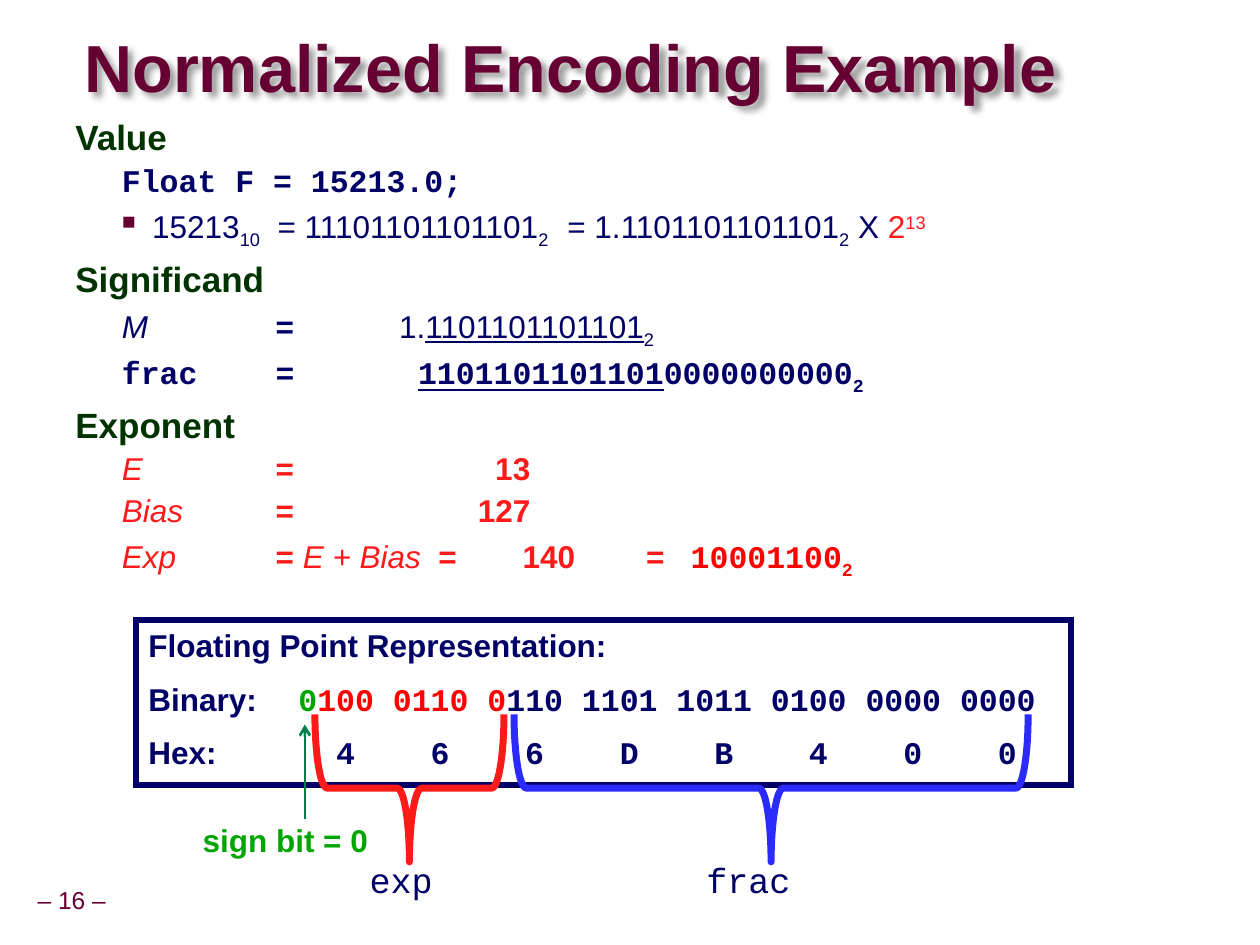
import pptx
import pptx.dml.color
import pptx.enum.shapes
import pptx.enum.text
import pptx.oxml
import pptx.oxml.ns
import pptx.util

Inches = pptx.util.Inches
Shape = pptx.enum.shapes.MSO_SHAPE
Fit = pptx.enum.text.MSO_AUTO_SIZE
Align = pptx.enum.text.PP_ALIGN
Anchor = pptx.enum.text.MSO_ANCHOR

PLUM, GREEN, NAVY, RED = "660033", "003300", "000066", "FF1A1A"
PURE, LIME, TEAL, BLUE = "FF0000", "00A600", "007F4D", "2B2BFF"
HEAD = dict(name="Arial", size=20, color=GREEN, bold=True)
BOLD = dict(name="Arial", size=18, color=NAVY, bold=True)
TEXT = {**BOLD, "bold": False}
MATH = {**TEXT, "italic": True}
CODE = {**BOLD, "name": "Courier New"}
LABEL = dict(name="Courier New", size=20, color=NAVY)
WARM, HOT = {**BOLD, "color": RED}, {**MATH, "color": RED}
BITS = {**CODE, "color": PURE}
LINED = {"underline": True}
SUB, SUP = {"base": -25000}, {"base": 30000}


def rgb(text):
    """Return the colour for a hex string."""
    return pptx.dml.color.RGBColor.from_string(text)


def node(tag, body="", **attrs):
    """Return a drawing element with the given attributes and inner XML."""
    vals = "".join(f' {key}="{val}"' for key, val in attrs.items())
    space = pptx.oxml.ns.nsdecls("a")
    return pptx.oxml.parse_xml(f"<a:{tag} {space}{vals}>{body}</a:{tag}>")


def write(para, runs):
    """Add the runs, each a text and its format values."""
    for text, form in runs:
        run = para.add_run()
        run.text = text
        for key, val in form.items():
            if key == "color":
                run.font.color.rgb = rgb(val)
            elif key == "base":
                run._r.get_or_add_rPr().set("baseline", str(val))
            else:
                setattr(run.font, key, pptx.util.Pt(val) if key == "size" else val)


def shape_para(para, gap, step, line=1.0, left=0, hang=0, mark=False):
    """Set spacing, indent, bullet and tab step of a paragraph."""
    props = para._p.get_or_add_pPr()
    for key, val in dict(marL=left, indent=hang, defTabSz=step).items():
        props.set(key, str(Inches(val)))
    para.line_spacing = line
    props.append(node("spcBef", f'<a:spcPct val="{gap * 1000}"/>'))
    if mark:
        props.append(node("buClr", f'<a:srgbClr val="{PLUM}"/>'))
        props.append(node("buSzPct", val=60000))
        props.append(node("buChar", char="■"))
    else:
        props.append(node("buNone"))


def add_label(slide, box, text, form, pad=None):
    """Add a centred one-line label."""
    frame = slide.shapes.add_textbox(*map(Inches, box)).text_frame
    frame.word_wrap = False
    frame.auto_size = Fit.SHAPE_TO_FIT_TEXT
    if pad is not None:
        frame.margin_left = frame.margin_right = Inches(pad)
        frame.vertical_anchor = Anchor.MIDDLE
    para = frame.paragraphs[0]
    para.alignment = Align.CENTER
    para.line_spacing = 0.9
    write(para, [(text, form)])


def add_title(slide, box, text):
    """Place the title with its soft shadow."""
    title = slide.shapes.title
    title.left, title.top, title.width, title.height = map(Inches, box)
    frame = title.text_frame
    frame.auto_size = Fit.NONE
    frame.vertical_anchor = Anchor.MIDDLE
    for side in ("left", "top", "right", "bottom"):
        setattr(frame, f"margin_{side}", 0)
    para = frame.paragraphs[0]
    para.alignment = Align.LEFT
    para.line_spacing = 0.87
    write(para, [(text, dict(name="Arial", size=38, color=PLUM, bold=True))])
    tint = '<a:srgbClr val="000000"><a:alpha val="40000"/></a:srgbClr>'
    glow = (f'<a:outerShdw blurRad="{Inches(0.05)}" dist="{Inches(0.05)}" '
            f'dir="2700000" algn="tl" rotWithShape="0">{tint}</a:outerShdw>')
    title._element.spPr.append(node("effectLst", glow))


def add_body(slide, box, rows):
    """Add the worked steps; a row is a heading or a list of runs."""
    frame = slide.shapes.add_textbox(*map(Inches, box)).text_frame
    frame.word_wrap = True
    for spot, row in enumerate(rows):
        para = frame.paragraphs[0] if spot == 0 else frame.add_paragraph()
        if isinstance(row, str):
            shape_para(para, 50, 0.98, 0.85, 0.24, -0.24)
            write(para, [(row, HEAD)])
        else:
            mark = row[0][0] == "15213"
            shape_para(para, 25, 0.98, 0.9, 0.61, -0.24, mark)
            write(para, row)


def add_brace(slide, mid, top, span, deep, color):
    """Add a brace that opens upward and is centred on mid."""
    box = (mid - deep / 2, top + deep / 2 - span / 2, deep, span)
    brace = slide.shapes.add_shape(Shape.LEFT_BRACE, *map(Inches, box))
    brace.rotation = 270
    brace.shadow.inherit = False
    brace.fill.background()
    brace.line.color.rgb = rgb(color)
    brace.line.width = pptx.util.Pt(4)


def add_sign(slide, left, top):
    """Add the sign bit label and its arrow."""
    add_label(slide, (left, top, 1.53, 0.38), "sign bit = 0", {**BOLD, "color": LIME})
    ends = (left + 0.92, top, left + 0.92, top - 0.75)
    kind = pptx.enum.shapes.MSO_CONNECTOR.STRAIGHT
    arrow = slide.shapes.add_connector(kind, *map(Inches, ends))
    arrow.line.color.rgb = rgb(TEAL)
    arrow.line.width = pptx.util.Pt(1.5)
    arrow.line._get_or_add_ln().append(node("tailEnd", type="arrow"))
    arrow._element.spPr.append(node("effectLst"))


def add_panel(slide, box, rows):
    """Add the framed bit pattern with its braces and labels."""
    left, top = box[:2]
    panel = slide.shapes.add_shape(Shape.RECTANGLE, *map(Inches, box))
    panel.shadow.inherit = False
    panel.fill.background()
    panel.line.color.rgb = rgb(NAVY)
    panel.line.width = pptx.util.Pt(3)
    panel.line._get_or_add_ln().append(node("miter", lim=800000))
    frame = panel.text_frame
    frame.vertical_anchor = Anchor.TOP
    for spot, row in enumerate(rows):
        para = frame.paragraphs[0] if spot == 0 else frame.add_paragraph()
        para.alignment = Align.LEFT
        shape_para(para, 50, 1.19)
        write(para, row)
    parts = [("exp", 2.17, 1.5, RED, 1.75, 0.71), ("frac", 5.04, 4.08, BLUE, 4.42, 0.88)]
    for name, mid, span, color, start, wide in parts:
        add_brace(slide, left + mid, top + 0.75, span, 1.17, color)
        add_label(slide, (left + start, top + 1.88, wide, 0.28), name, LABEL)
    add_sign(slide, left + 0.42, top + 1.58)


def main():
    """Build the slide and save it."""
    deck = pptx.Presentation()
    deck.slide_width, deck.slide_height = Inches(10), Inches(7.5)
    slide = deck.slides.add_slide(deck.slide_layouts[5])
    low = {**TEXT, **SUB}
    frac = "1101101101101"
    add_label(slide, (0.24, 7, 0.66, 0.31), "– 16 –",
              dict(name="Arial", size=14, color=PLUM), 0.05)
    add_title(slide, (0.67, 0.25, 8.06, 0.63), "Normalized Encoding Example")
    add_body(slide, (0.5, 0.92, 9.03, 1.67), [
        "Value",
        [("Float F = 15213.0;", CODE)],
        [("15213", TEXT), ("10", low), ("  = 11101101101101", TEXT), ("2  ", low),
         (" = 1.1101101101101", TEXT), ("2", low), (" X ", TEXT),
         ("2", {**TEXT, "color": RED}), ("13", {**TEXT, "color": RED, **SUP})],
        "Significand",
        [("M", MATH), (" \t= \t", BOLD), ("1.", TEXT), (frac, {**TEXT, **LINED}), ("2", low)],
        [("frac\t= \t ", CODE), (frac, {**CODE, **LINED}), ("0000000000", CODE),
         ("2", {**CODE, **SUB})],
        "Exponent",
        [("E\t", HOT), (" \t= \t           13", WARM)],
        [("Bias", HOT), (" \t= \t         127", WARM)],
        [("Exp \t", HOT), ("= ", WARM), ("E + Bias ", HOT), (" = \t140 \t=   ", WARM),
         ("10001100", BITS), ("2", {**BITS, **SUB})],
    ])
    add_panel(slide, (1.08, 4.92, 7.42, 1.31), [
        [("Floating Point Representation:", BOLD)],
        [("Binary:  \t", BOLD), ("0", {**CODE, "color": LIME}), ("100 0110 0", BITS),
         ("110 1101 1011 0100 0000 0000", CODE)],
        [("Hex:", BOLD), ("  \t  4    6    6    D    B    4    0    0", CODE)],
    ])
    deck.save("out.pptx")


if __name__ == "__main__":
    main()
